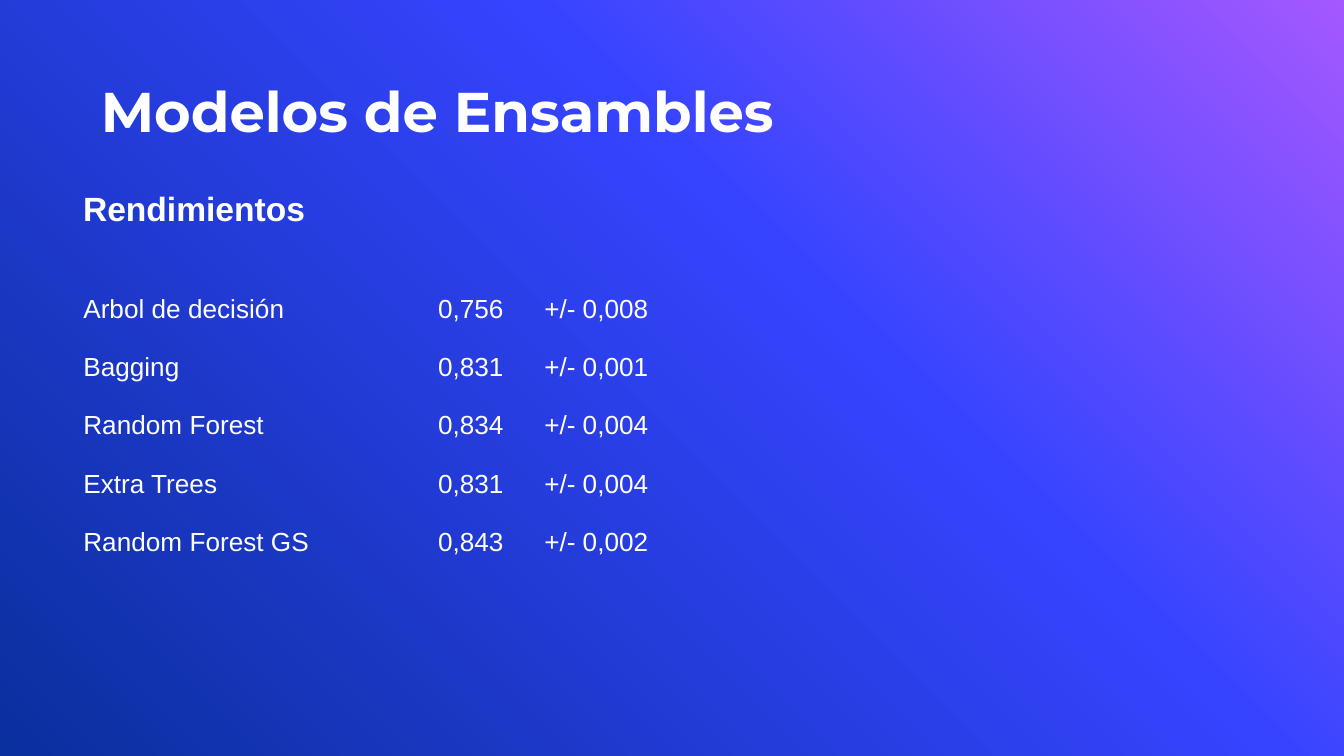
import copy

import pptx
import pptx.dml.color
import pptx.enum.text
import pptx.oxml.ns
import pptx.util

WIDTH = 10
HEIGHT = WIDTH * 9 / 16
LEFT = 0.52
ROW_POINTS = 30
TABLE_SIDE = 3.28
COLUMN_WIDTHS = (2.64, 0.79, 4.49)
PADDING = 0.1
WHITE = "FFFFFF"
BACKDROP = ((0, "A458FF"), (0.39, "3544FF"), (1, "0A2F9E"))
PLAIN_TABLE_STYLE = "{2D5ABB26-0587-4C30-8999-92F81FD0307C}"
RESULTS = (
    ("Arbol de decisión", "0,756", "+/- 0,008"),
    ("Bagging", "0,831", "+/- 0,001"),
    ("Random Forest", "0,834", "+/- 0,004"),
    ("Extra Trees", "0,831", "+/- 0,004"),
    ("Random Forest GS", "0,843", "+/- 0,002"),
)


def colour(hex_code):
    """Turn a hex string into a colour."""
    return pptx.dml.color.RGBColor.from_string(hex_code)


def inches(*lengths):
    """Convert lengths in inches to slide units."""
    return [pptx.util.Inches(length) for length in lengths]


def paint_backdrop(slide):
    """Fill the background with the diagonal gradient."""
    fill = slide.background.fill
    fill.gradient()
    fill.gradient_angle = 225
    stops = slide.element.find(".//" + pptx.oxml.ns.qn("a:gsLst"))
    stops.append(copy.deepcopy(stops[-1]))
    for stop, (position, hex_code) in zip(fill.gradient_stops, BACKDROP):
        stop.position = position
        stop.color.rgb = colour(hex_code)


def write(frame, words, size, font="Arial", bold=False):
    """Put one styled white paragraph in a text frame."""
    paragraph = frame.paragraphs[0]
    paragraph.text = words
    paragraph.font.size = pptx.util.Pt(size)
    paragraph.font.name = font
    paragraph.font.bold = bold
    paragraph.font.color.rgb = colour(WHITE)


def pad(holder, padding):
    """Give a text frame or cell the same margin on all sides."""
    margin = pptx.util.Inches(padding)
    holder.margin_left = holder.margin_right = margin
    holder.margin_top = holder.margin_bottom = margin


def add_heading(slide, box, words, size, font, padding, anchor):
    """Add a bold heading in its own text box."""
    frame = slide.shapes.add_textbox(*inches(*box)).text_frame
    frame.word_wrap = True
    frame.vertical_anchor = anchor
    pad(frame, padding)
    write(frame, words, size, font, bold=True)


def add_results(slide, top):
    """Add the borderless table of model scores."""
    box = inches(LEFT, top, TABLE_SIDE, TABLE_SIDE)
    frame = slide.shapes.add_table(len(RESULTS), len(COLUMN_WIDTHS), *box)
    scores = frame.table
    scores.first_row = scores.horz_banding = False
    style = frame.element.find(".//" + pptx.oxml.ns.qn("a:tableStyleId"))
    style.text = PLAIN_TABLE_STYLE
    for column, width in zip(scores.columns, inches(*COLUMN_WIDTHS)):
        column.width = width
    for row, result in zip(scores.rows, RESULTS):
        row.height = pptx.util.Pt(ROW_POINTS)
        for cell, words in zip(row.cells, result):
            cell.fill.background()
            pad(cell, PADDING)
            write(cell.text_frame, words, 14)
    frame.width = frame.height = pptx.util.Inches(TABLE_SIDE)


def main():
    """Build and save the slide."""
    deck = pptx.Presentation()
    deck.slide_width, deck.slide_height = inches(WIDTH, HEIGHT)
    slide = deck.slides.add_slide(deck.slide_layouts[6])
    anchors = pptx.enum.text.MSO_ANCHOR
    paint_backdrop(slide)
    add_heading(slide, (0.75, 0.36, 6.41, 0.71), "Modelos de Ensambles",
                30, "Montserrat", 0, anchors.BOTTOM)
    add_heading(slide, (LEFT, 1.3, 3.46, 0.71), "Rendimientos",
                18, "Arial", PADDING, anchors.TOP)
    add_results(slide, 2.09)
    deck.save("out.pptx")


if __name__ == "__main__":
    main()
